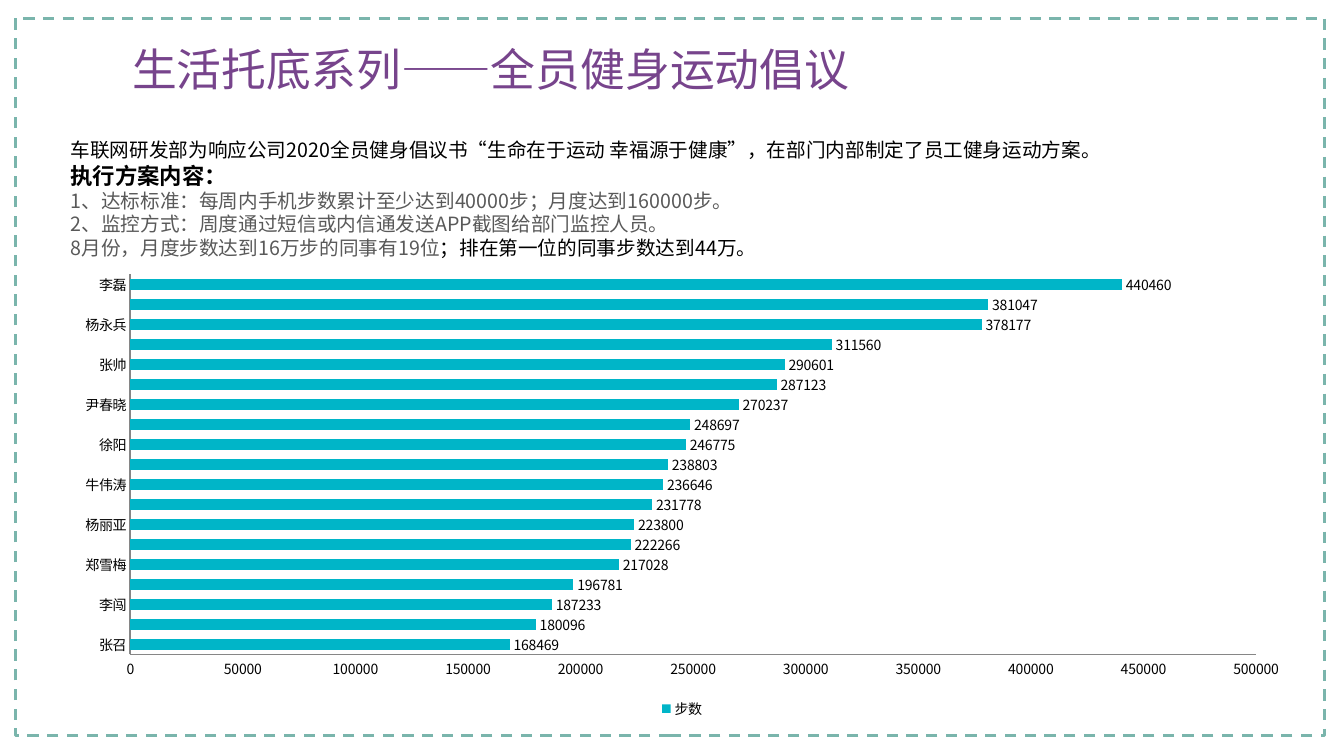
from pptx import Presentation
from pptx.chart.data import CategoryChartData
from pptx.dml.color import RGBColor
from pptx.enum.chart import XL_CHART_TYPE as ChartType, XL_LABEL_POSITION as LabelPos
from pptx.enum.chart import XL_LEGEND_POSITION as LegendPos, XL_TICK_MARK as TickMark
from pptx.enum.dml import MSO_LINE
from pptx.enum.shapes import MSO_SHAPE
from pptx.enum.text import MSO_ANCHOR, PP_ALIGN
from pptx.oxml.ns import qn
from pptx.util import Inches, Pt
from lxml import etree

# Content
FONT = "Noto Sans CJK SC"
COLORS = {"frame": "7AB5AC", "title": "77448C", "text": "000000",
          "muted": "595959", "bar": "00B5C8", "axis": "868686"}
TITLE = "生活托底系列——全员健身运动倡议"
# Each paragraph: size, bold, then (text, colour) spans
BODY = [
    (14, False, [("车联网研发部为响应公司2020全员健身倡议书“生命在于运动 幸福源于健康”，"
                  "在部门内部制定了员工健身运动方案。", "text")]),
    (16, True, [("执行方案内容：", "text")]),
    (14, False, [("1、达标标准：每周内手机步数累计至少达到40000步；月度达到160000步。", "muted")]),
    (14, False, [("2、监控方式：周度通过短信或内信通发送APP截图给部门监控人员。", "muted")]),
    (14, False, [("8月份，月度步数达到16万步的同事有19位", "muted"),
                 ("；排在第一位的同事步数达到44万。", "text")]),
]
SERIES = "步数"
# Every second bar carries a name, from the bottom up
NAMES = ["张召", "李闯", "郑雪梅", "杨丽亚", "牛伟涛",
         "徐阳", "尹春晓", "张帅", "杨永兵", "李磊"]
STEPS = [168469, 180096, 187233, 196781, 217028, 222266, 223800, 231778, 236646, 238803,
         246775, 248697, 270237, 287123, 290601, 311560, 378177, 381047, 440460]


def rgb(name):
    return RGBColor.from_string(COLORS[name])


def place(shape, left, top, width, height):
    shape.left, shape.top = Inches(left), Inches(top)
    shape.width, shape.height = Inches(width), Inches(height)


def style_font(font, size=10, color="text", bold=False):
    font.name, font.size, font.bold = FONT, Pt(size), bold
    font.color.rgb = rgb(color)


def add_span(para, text, **style):
    span = para.add_run()
    span.text = text
    style_font(span.font, **style)
    east_asian = etree.SubElement(span.font._element, qn("a:ea"))
    east_asian.set("typeface", FONT)


deck = Presentation()
deck.slide_width, deck.slide_height = Inches(13.33), Inches(7.5)
page = deck.slides.add_slide(deck.slide_layouts[1])

# Dashed frame
frame = page.shapes.add_shape(MSO_SHAPE.RECTANGLE, Inches(0.15), Inches(0.18),
                              Inches(12.99), Inches(7.12))
frame.shadow.inherit = False
frame.fill.background()
frame.line.color.rgb = rgb("frame")
frame.line.width = Pt(2)
frame.line.dash_style = MSO_LINE.DASH

# Title, wide enough for one line
title = page.shapes.title
place(title, 0.6, 0.14, 8.5, 1.08)
box = title.text_frame
box.word_wrap = False
box.vertical_anchor = MSO_ANCHOR.MIDDLE
box.margin_left = Inches(0.71)
box.margin_top = box.margin_right = box.margin_bottom = 0
box.paragraphs[0].alignment = PP_ALIGN.LEFT
add_span(box.paragraphs[0], TITLE, size=32, color="title")

# Body text
body = page.placeholders[1]
place(body, 0.6, 1.32, 12.18, 1.31)
box = body.text_frame
box.word_wrap = True
box.vertical_anchor = MSO_ANCHOR.TOP
for index, (size, bold, spans) in enumerate(BODY):
    para = box.add_paragraph() if index else box.paragraphs[0]
    props = para._p.get_or_add_pPr()
    props.set("marL", "0")
    props.set("indent", "0")
    etree.SubElement(props, qn("a:buNone"))
    para.alignment = PP_ALIGN.LEFT
    para.space_before = para.space_after = Pt(0)
    para.line_spacing = Pt(size * 1.2)
    for text, color in spans:
        add_span(para, text, size=size, bold=bold, color=color)

# Step chart
data = CategoryChartData()
data.categories = ["" if index % 2 else NAMES[index // 2] for index in range(len(STEPS))]
data.add_series(SERIES, STEPS)
chart = page.shapes.add_chart(ChartType.BAR_CLUSTERED, Inches(0.6), Inches(2.63),
                              Inches(12.33), Inches(4.54), data).chart
style_font(chart.font)
chart.has_title = False
chart.has_legend = True
chart.legend.position = LegendPos.BOTTOM
chart.legend.include_in_layout = False
style_font(chart.legend.font)

plot = chart.plots[0]
plot.gap_width = 75
plot.vary_by_categories = False
bars = plot.series[0]
bars.format.fill.solid()
bars.format.fill.fore_color.rgb = rgb("bar")
plot.has_data_labels = True
labels = plot.data_labels
labels.show_value = True
labels.position = LabelPos.OUTSIDE_END
style_font(labels.font)

for axis in (chart.category_axis, chart.value_axis):
    axis.has_major_gridlines = False
    axis.major_tick_mark = axis.minor_tick_mark = TickMark.NONE
    axis.format.line.color.rgb = rgb("axis")
    style_font(axis.tick_labels.font)
chart.category_axis.format.line.width = Pt(1.5)
chart.value_axis.minimum_scale = 0
chart.value_axis.maximum_scale = 500000
chart.value_axis.major_unit = 50000

deck.save("out.pptx")
